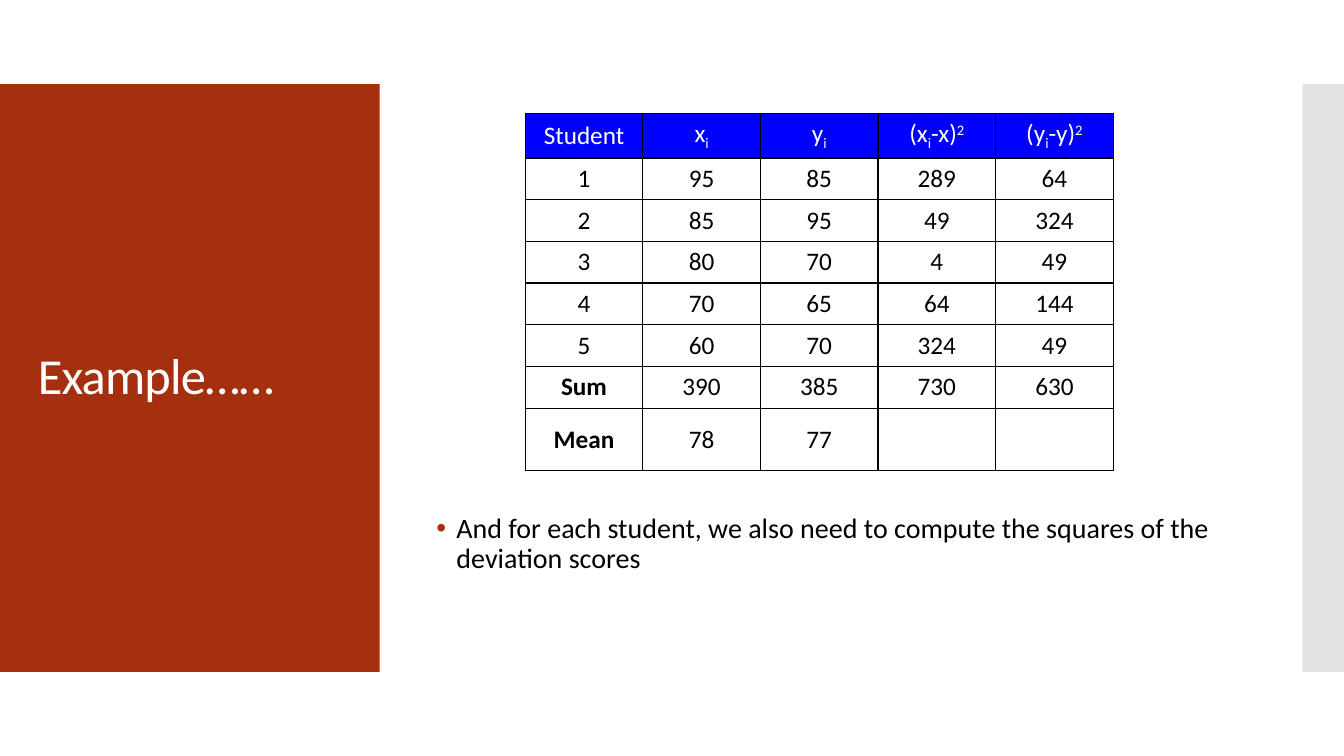
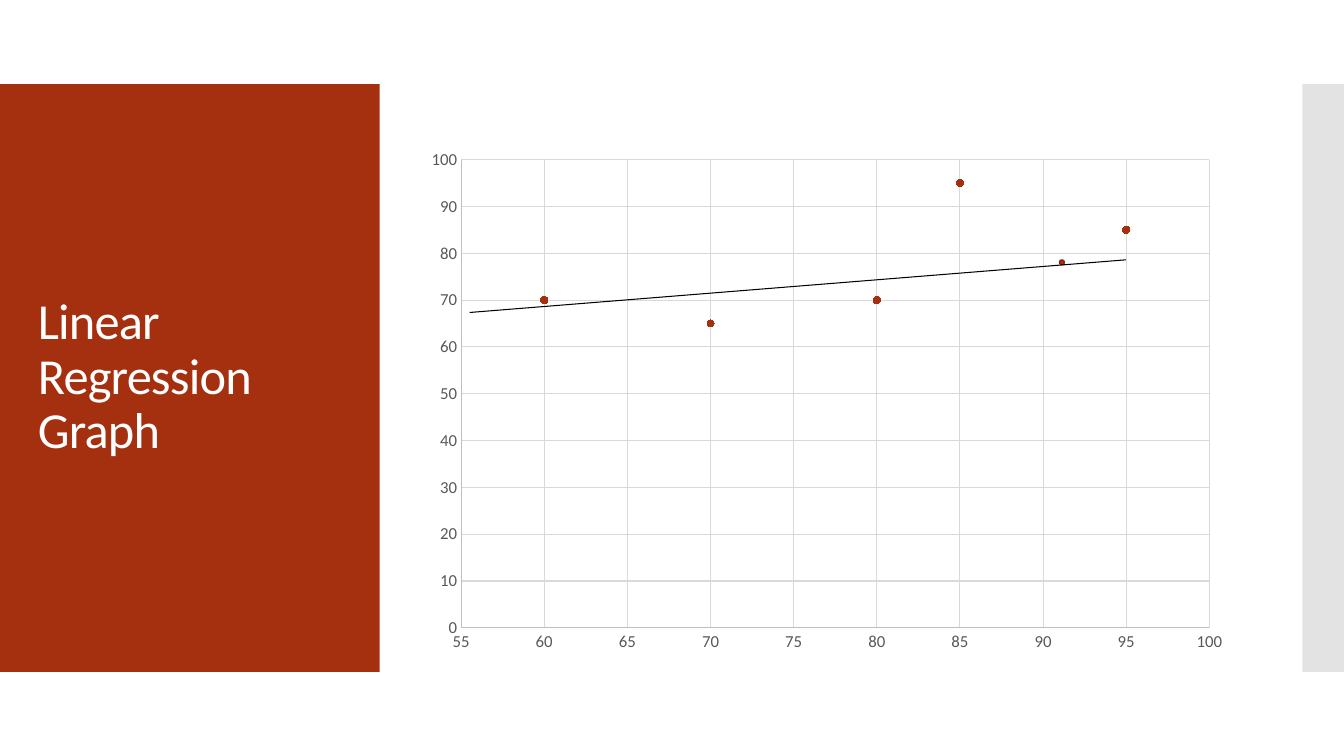
from lxml import etree
from pptx import Presentation
from pptx.chart.data import XyChartData
from pptx.dml.color import RGBColor
from pptx.enum.chart import XL_CHART_TYPE, XL_MARKER_STYLE, XL_TICK_MARK
from pptx.enum.shapes import MSO_CONNECTOR, MSO_SHAPE
from pptx.enum.text import MSO_ANCHOR, PP_ALIGN
from pptx.oxml import parse_xml
from pptx.oxml.ns import nsdecls, qn
from pptx.util import Pt

RECT, OVAL = MSO_SHAPE.RECTANGLE, MSO_SHAPE.OVAL
MIDDLE, CENTER = MSO_ANCHOR.MIDDLE, PP_ALIGN.CENTER
SCATTER, CIRCLE = XL_CHART_TYPE.XY_SCATTER, XL_MARKER_STYLE.CIRCLE
NO_TICK, STRAIGHT = XL_TICK_MARK.NONE, MSO_CONNECTOR.STRAIGHT

RUST = RGBColor(0xA5, 0x30, 0x0F)
DARK_RUST = RGBColor(0x7A, 0x24, 0x0B)
BAND = RGBColor(0xC8, 0xC8, 0xC8)
BLUE = RGBColor(0x00, 0x00, 0xFF)
WHITE = RGBColor(0xFF, 0xFF, 0xFF)
BLACK = RGBColor(0x00, 0x00, 0x00)
AXIS_TEXT = RGBColor(0x59, 0x59, 0x59)
AXIS_LINE = RGBColor(0xBF, 0xBF, 0xBF)
GRID = RGBColor(0xD9, 0xD9, 0xD9)
FONT = "Calibri"


def add_run(p, text, size, color, bold=False):
    r = p.add_run()
    r.text = text
    r.font.name, r.font.size, r.font.bold = FONT, Pt(size), bold
    r.font.color.rgb = color
    return r


def add_filled(s, kind, x, y, w, h, color):
    sp = s.shapes.add_shape(kind, Pt(x), Pt(y), Pt(w), Pt(h))
    sp.shadow.inherit = False
    sp.fill.solid()
    sp.fill.fore_color.rgb = color
    sp.line.fill.background()
    return sp


prs = Presentation()
prs.slide_width, prs.slide_height = Pt(960), Pt(540)

# Shared frame: title panel, right band, title
slides = []
for title in ("Example……", "Linear Regression Graph"):
    s = prs.slides.add_slide(prs.slide_layouts[6])
    add_filled(s, RECT, 0, 60, 271.2, 420, RUST)
    band = add_filled(s, RECT, 930.2, 60, 29.8, 420, BAND)
    clr = band.fill._xPr.find(qn("a:solidFill"))[0]
    etree.SubElement(clr, qn("a:alpha"), val="50000")
    tf = s.shapes.add_textbox(Pt(20), Pt(88.8), Pt(232), Pt(362)).text_frame
    tf.word_wrap, tf.vertical_anchor = True, MIDDLE
    p = tf.paragraphs[0]
    p.line_spacing = 0.9
    r = add_run(p, title, 36, WHITE)
    r._r.get_or_add_rPr().set("spc", "-60")
    slides.append(s)
example, graph = slides

# Table: a cell is a list of (text, baseline) runs
SUB, SUP = -25000, 30000
rows = [
    [[("Student", 0)],
     [("x", 0), ("i", SUB)],
     [("y", 0), ("i", SUB)],
     [("(x", 0), ("i", SUB), ("-x)", 0), ("2", SUP)],
     [("(y", 0), ("i", SUB), ("-y)", 0), ("2", SUP)]],
]
for values in (("1", "95", "85", "289", "64"),
               ("2", "85", "95", "49", "324"),
               ("3", "80", "70", "4", "49"),
               ("4", "70", "65", "64", "144"),
               ("5", "60", "70", "324", "49"),
               ("Sum", "390", "385", "730", "630"),
               ("Mean", "78", "77", "", "")):
    rows.append([[(v, 0)] if v else [] for v in values])

table = example.shapes.add_table(8, 5, Pt(375.2), Pt(81), Pt(420), Pt(254)).table
table.first_row = table.horz_banding = False
for col in table.columns:
    col.width = Pt(84)
for i, row in enumerate(rows):
    table.rows[i].height = Pt(44.8 if i == 7 else 29.8)
    for j, runs in enumerate(row):
        cell = table.cell(i, j)
        cell.vertical_anchor = MIDDLE
        tcPr = cell._tc.get_or_add_tcPr()
        for side in ("lnL", "lnR", "lnT", "lnB"):
            tcPr.append(parse_xml(
                f'<a:{side} {nsdecls("a")} w="12700"><a:solidFill>'
                f'<a:srgbClr val="{BLACK}"/></a:solidFill></a:{side}>'))
        cell.fill.solid()
        cell.fill.fore_color.rgb = WHITE if i else BLUE
        p = cell.text_frame.paragraphs[0]
        p.alignment = CENTER
        for text, baseline in runs:
            r = add_run(p, text, 18, BLACK if i else WHITE, j == 0 and i > 5)
            if baseline:
                r._r.get_or_add_rPr().set("baseline", str(baseline))

# Bullet below the table
tf = example.shapes.add_textbox(Pt(304.6), Pt(364), Pt(576), Pt(50)).text_frame
tf.word_wrap, tf.vertical_anchor = True, MIDDLE
p = tf.paragraphs[0]
p.line_spacing = 0.9
pPr = p._p.get_or_add_pPr()
pPr.set("marL", str(Pt(14.4)))
pPr.set("indent", str(Pt(-14.4)))
buClr = etree.SubElement(pPr, qn("a:buClr"))
etree.SubElement(buClr, qn("a:srgbClr"), val=str(RUST))
etree.SubElement(pPr, qn("a:buFont"), typeface="Arial")
etree.SubElement(pPr, qn("a:buChar"), char="•")
add_run(p, "And for each student, we also need to compute the squares of the "
           "deviation scores", 20, BLACK)

# Scatter chart
data = XyChartData()
series = data.add_series("Series 1")
for x, y in ((95, 85), (85, 95), (80, 70), (70, 65), (60, 70)):
    series.add_data_point(x, y)
chart = graph.shapes.add_chart(SCATTER, Pt(304.6), Pt(67.7), Pt(576), Pt(403),
                               data).chart
chart.has_legend = chart.has_title = False
chart.font.name, chart.font.size = FONT, Pt(10)
chart.font.color.rgb = BLACK

plot = chart.plots[0]
plot.vary_by_categories = False
dots = plot.series[0]
dots.smooth = False
dots.format.line.fill.background()
dots.marker.style, dots.marker.size = CIRCLE, 5
dots.marker.format.fill.solid()
dots.marker.format.fill.fore_color.rgb = RUST
dots.marker.format.line.color.rgb = RUST

for axis, low, step in ((chart.category_axis, 55, 5), (chart.value_axis, 0, 10)):
    axis.minimum_scale, axis.maximum_scale, axis.major_unit = low, 100, step
    axis.major_tick_mark = axis.minor_tick_mark = NO_TICK
    axis.has_major_gridlines = True
    for line, color in ((axis.format.line, AXIS_LINE),
                        (axis.major_gridlines.format.line, GRID)):
        line.color.rgb, line.width = color, Pt(0.75)
    font = axis.tick_labels.font
    font.name, font.size = FONT, Pt(12)
    font.color.rgb = AXIS_TEXT

# Fixed inner plot area
plot_area = chart._chartSpace.chart.plotArea
for old in plot_area.findall(qn("c:layout")):
    plot_area.remove(old)
layout = etree.Element(qn("c:layout"))
manual = etree.SubElement(layout, qn("c:manualLayout"))
for tag, val in (("layoutTarget", "inner"), ("xMode", "edge"), ("yMode", "edge"),
                 ("x", "0.043"), ("y", "0.115"), ("w", "0.928"), ("h", "0.83")):
    etree.SubElement(manual, qn(f"c:{tag}"), val=val)
plot_area.insert(0, layout)

# Extra point and regression line
dot = add_filled(graph, OVAL, 756.7, 185.6, 3.6, 3.6, RUST)
dot.line.color.rgb, dot.line.width = DARK_RUST, Pt(0.85)
fit = graph.shapes.add_connector(STRAIGHT, Pt(335.5), Pt(223.2), Pt(804.2), Pt(185.6))
fit.line.color.rgb, fit.line.width = BLACK, Pt(0.75)
etree.SubElement(fit._element.spPr, qn("a:effectLst"))

prs.save("out.pptx")
